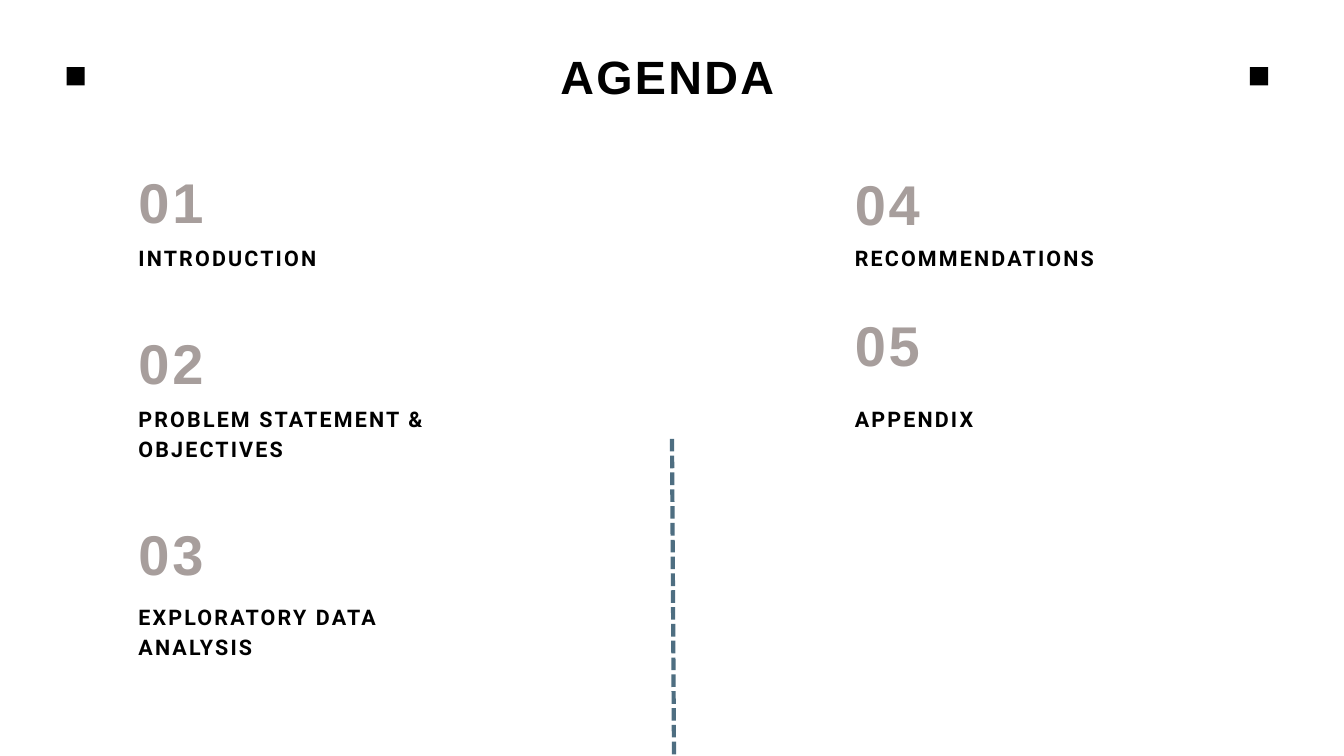
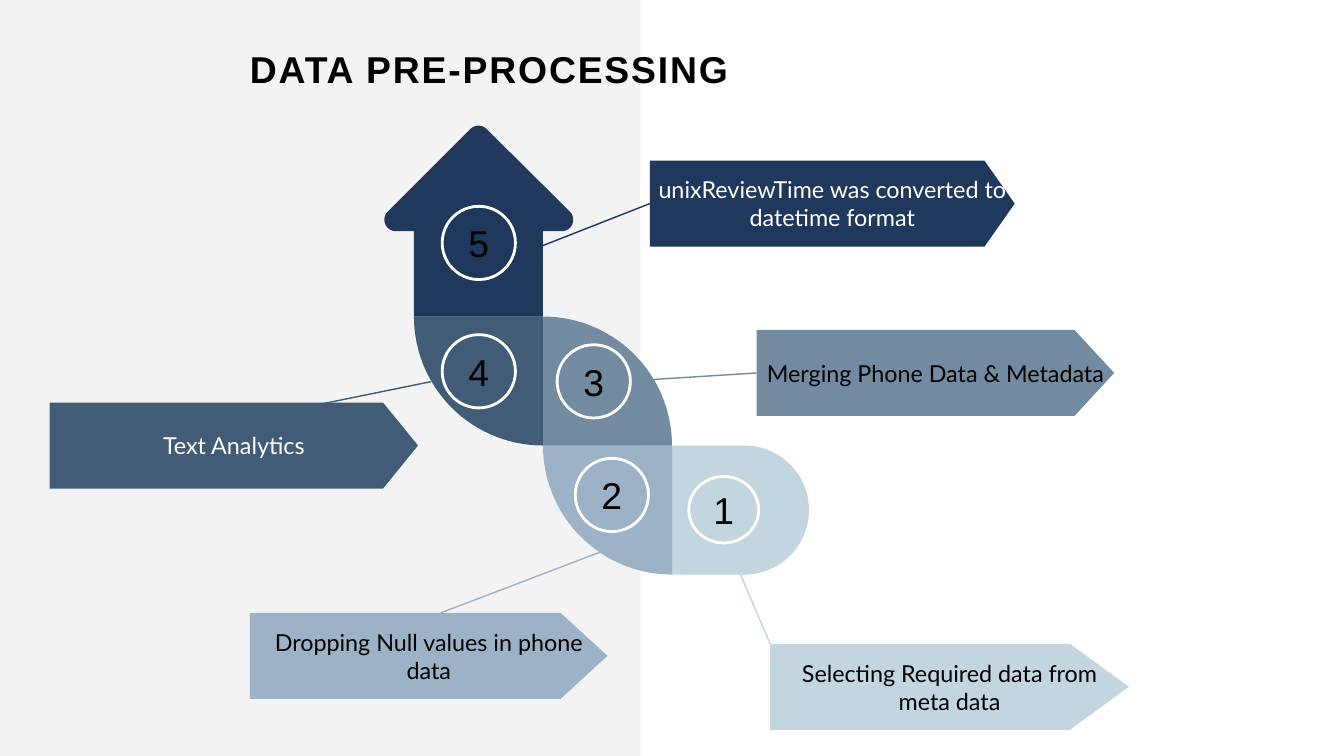
from math import cos, radians, sin

from lxml.etree import SubElement
from pptx import Presentation
from pptx.dml.color import RGBColor
from pptx.enum.dml import MSO_LINE
from pptx.enum.shapes import MSO_CONNECTOR, MSO_SHAPE as Kind
from pptx.enum.text import MSO_ANCHOR as Anchor, MSO_AUTO_SIZE as Auto, PP_ALIGN as Align
from pptx.oxml.ns import qn
from pptx.util import Pt

PX = 9144  # 100 px to the inch
WIDTH, HEIGHT = 2000, 1125

BLACK = RGBColor(0x00, 0x00, 0x00)
WHITE = RGBColor(0xFF, 0xFF, 0xFF)
TAUPE = RGBColor(0xA7, 0x9E, 0x9C)
STEEL = RGBColor(0x4E, 0x6E, 0x81)
PALE = RGBColor(0xF2, 0xF1, 0xF1)
STEPS = [RGBColor(0xC3, 0xD5, 0xDE), RGBColor(0x9B, 0xB2, 0xC7),
         RGBColor(0x72, 0x8B, 0xA0), RGBColor(0x42, 0x5C, 0x78),
         RGBColor(0x20, 0x38, 0x5C)]

LEFT, RIGHT = 206, 1272
# x, number top, label top, label
AGENDA = [
    (LEFT, 233, 358, "INTRODUCTION"),
    (LEFT, 472, 598, "PROBLEM STATEMENT &\nOBJECTIVES"),
    (LEFT, 756, 893, "EXPLORATORY DATA ANALYSIS"),
    (RIGHT, 235, 358, "RECOMMENDATIONS"),
    (RIGHT, 445, 598, "APPENDIX"),
]

SIDE = 192  # one block of the winding road
TAG_H = 128
# x, y, width, height
RINGS = [(1025, 709, 104, 99), (856, 682, 109, 109), (829, 513, 109, 109),
         (658, 498, 109, 109), (658, 307, 109, 109)]
# x, y, width, tip, text, ink
TAGS = [
    (1146, 958, 534, 88, "Selecting Required data from meta data", BLACK),
    (372, 912, 532, 70, "Dropping Null values in phone data", BLACK),
    (1126, 491, 532, 59, "Merging Phone Data & Metadata", BLACK),
    (74, 599, 548, 52, "Text Analytics", WHITE),
    (967, 239, 543, 45, "unixReviewTime was converted to datetime format", WHITE),
]
# tag end, road end, whether the tag end is the middle of its left side
LINKS = [
    ((1146, 958), (1102, 855), False),
    ((656, 912), (900, 819), False),
    ((1126, 555), (967, 565), True),
    ((440, 609), (641, 568), False),
    ((967, 303), (804, 367), True),
]


def style(shape, text, size, lead, font="Arial", ink=BLACK, bold=False,
          gap=0, align=Align.LEFT, inset=0):
    """Write text with fixed line spacing; gap is letter spacing in points."""
    frame = shape.text_frame
    frame.word_wrap = True
    frame.margin_left = frame.margin_right = inset * PX
    frame.margin_top = frame.margin_bottom = inset * PX
    frame.text = text
    for para in frame.paragraphs:
        para.alignment = align
        para.line_spacing = Pt(lead)
        for run in para.runs:
            face = run.font
            face.name, face.size, face.bold = font, Pt(size), bold
            face.color.rgb = ink
            if gap:
                run._r.get_or_add_rPr().set("spc", str(round(gap * 100)))
    return frame


def add_text(slide, x, y, w, h, text, size, lead, **look):
    box = slide.shapes.add_textbox(x * PX, y * PX, w * PX, h * PX)
    return style(box, text, size, lead, **look)


def heading(slide, x, y, w, h, text, size, lead, **look):
    """Add bold, letter-spaced text in a box that grows with it."""
    frame = add_text(slide, x, y, w, h, text, size, lead, bold=True, **look)
    frame.auto_size = Auto.SHAPE_TO_FIT_TEXT


def paint(shape, fill):
    shape.shadow.inherit = False
    shape.fill.solid()
    shape.fill.fore_color.rgb = fill
    shape.line.fill.background()
    return shape


def add_shape(slide, kind, x, y, w, h, fill):
    shape = slide.shapes.add_shape(kind, x * PX, y * PX, w * PX, h * PX)
    return paint(shape, fill)


def add_line(slide, start, end, ink, width):
    ends = [n * PX for n in (*start, *end)]
    line = slide.shapes.add_connector(MSO_CONNECTOR.STRAIGHT, *ends)
    line.line.color.rgb = ink
    line.line.width = Pt(width)
    SubElement(line._element.spPr, qn("a:effectLst"))
    return line


def arc(x, y, radius, first, last):
    """Points along a circle, clockwise degrees from the right."""
    turns = [radians(first + (last - first) * i / 30) for i in range(31)]
    return [(x + radius * cos(t), y + radius * sin(t)) for t in turns]


def add_block(slide, points, fill):
    dots = [(x * PX, y * PX) for x, y in points]
    pen = slide.shapes.build_freeform(*dots[0], scale=1)
    pen.add_line_segments(dots[1:], close=True)
    paint(pen.convert_to_shape(), fill)


def add_road(slide):
    x, y = 1000, 663
    mid, top = x - SIDE, y - SIDE
    far = mid - SIDE
    half = SIDE / 2
    blocks = [
        [(x, y), *arc(1108, y + half, half, -90, 90), (x, y + SIDE)],
        [(x, y), *arc(x, y, SIDE, 90, 180)],
        [(mid, y), *arc(mid, y, SIDE, -90, 0)],
        [(mid, top), *arc(mid, top, SIDE, 90, 180)],
        [(far, top), (far, 344), *arc(589, 327, 17, 90, 225),
         *arc(712, 204, 17, 225, 315), *arc(836, 327, 17, -45, 90),
         (mid, 344), (mid, top)],
    ]
    for points, fill in zip(blocks, STEPS):
        add_block(slide, points, fill)


def add_ring(slide, spot, number, fill):
    ring = add_shape(slide, Kind.OVAL, *spot, fill)
    ring.line.color.rgb = WHITE
    ring.line.width = Pt(3)
    frame = style(ring, str(number), 40, 48, align=Align.CENTER)
    frame.vertical_anchor = Anchor.MIDDLE


def add_tag(slide, x, y, w, tip, text, ink, fill):
    tag = add_shape(slide, Kind.PENTAGON, x, y, w, TAG_H, fill)
    tag.adjustments[0] = tip / TAG_H
    frame = add_text(slide, x, y, w, TAG_H, text, 25, 30, font="Lato",
                     ink=ink, align=Align.CENTER, inset=6)
    frame.vertical_anchor = Anchor.MIDDLE
    return tag


def agenda(slide):
    heading(slide, 199, 57, 1588, 98, "AGENDA", 50, 70, gap=2.5,
            align=Align.CENTER)
    for i, (x, top, low, label) in enumerate(AGENDA, 1):
        heading(slide, x, top, 522, 118, f"{i:02}", 60, 84, ink=TAUPE, gap=3)
        heading(slide, x, low, 522, 43, label, 23, 32.2, font="Roboto", gap=2.3)
    line = add_line(slide, (1000, 653), (1003, HEIGHT), STEEL, 4.5)
    line.line.dash_style = MSO_LINE.SQUARE_DOT
    for x in (99, 1860):
        add_shape(slide, Kind.RECTANGLE, x, 100, 27, 27, BLACK)


def process(slide):
    panel = add_shape(slide, Kind.RECTANGLE, 0, 0, 953, HEIGHT, PALE)
    tint = panel._element.spPr.find(".//" + qn("a:srgbClr"))
    SubElement(tint, qn("a:alpha"), val="80000")
    heading(slide, 372, 57, 1410, 77, "DATA PRE-PROCESSING", 40, 56, gap=2,
            align=Align.JUSTIFY)
    add_road(slide)
    for i, (spot, fill) in enumerate(zip(RINGS, STEPS), 1):
        add_ring(slide, spot, i, fill)
    for spot, (start, end, joined), fill in zip(TAGS, LINKS, STEPS):
        tag = add_tag(slide, *spot, fill)
        line = add_line(slide, start, end, fill, 1.5)
        if joined:
            line.begin_connect(tag, 1)


def main():
    deck = Presentation()
    deck.slide_width, deck.slide_height = WIDTH * PX, HEIGHT * PX
    for build in (agenda, process):
        build(deck.slides.add_slide(deck.slide_layouts[6]))
    deck.save("out.pptx")


if __name__ == "__main__":
    main()
